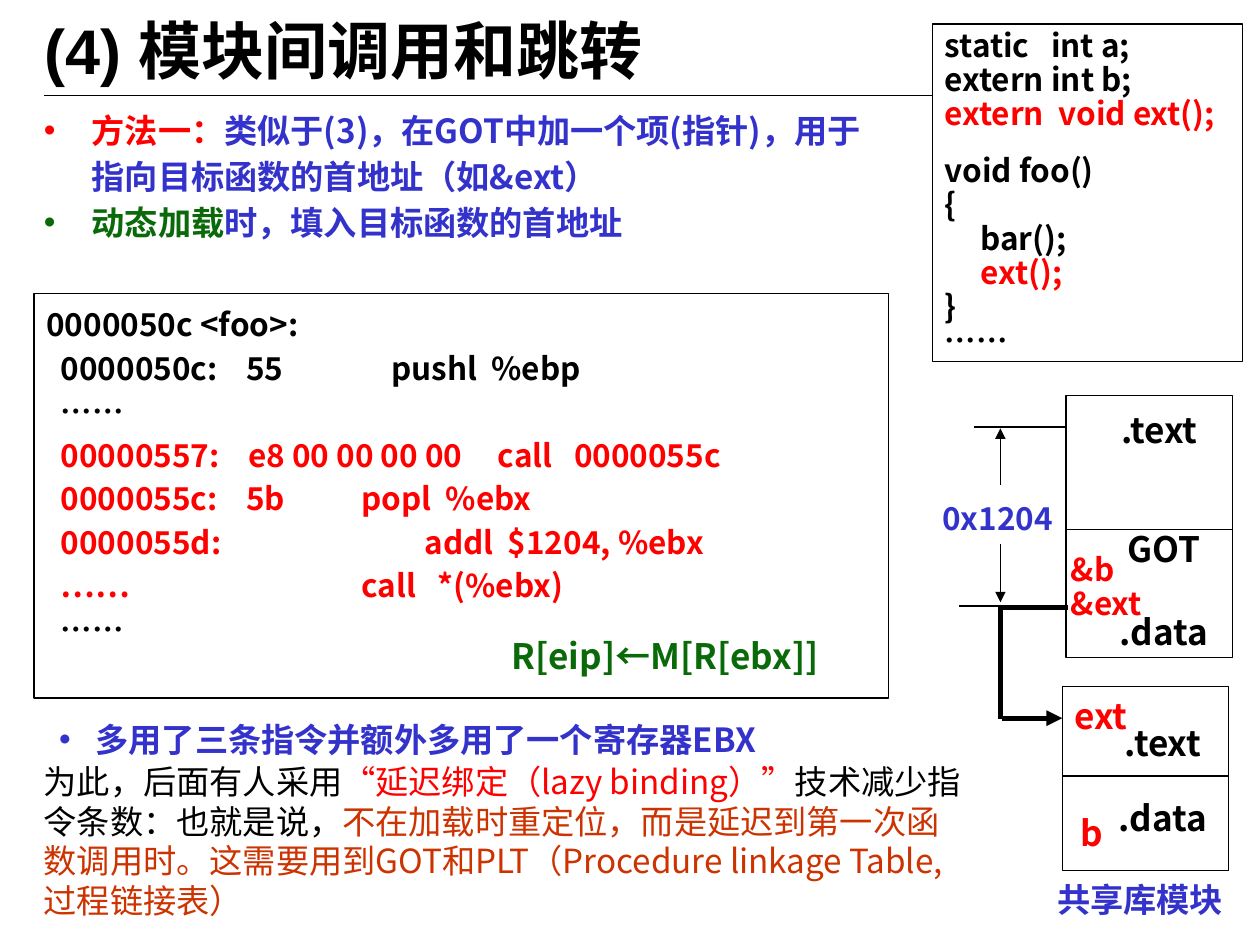
from dataclasses import dataclass

from lxml.etree import SubElement
from pptx import Presentation
from pptx.dml.color import RGBColor
from pptx.enum.shapes import MSO_CONNECTOR, MSO_SHAPE
from pptx.enum.text import MSO_ANCHOR, MSO_AUTO_SIZE, PP_ALIGN
from pptx.oxml.ns import qn
from pptx.util import Inches, Pt


@dataclass(frozen=True)
class Theme:
    black: str = "000000"
    white: str = "FFFFFF"
    red: str = "FF0000"
    blue: str = "3333CC"
    green: str = "0A6A0A"
    orange: str = "CC3300"
    body_font: str = "Noto Sans CJK SC"
    title_font: str = "Arial"
    title: int = 36
    label: int = 20
    body: int = 19
    code: int = 18
    thin: float = 0.75
    thick: float = 3


THEME = Theme()


@dataclass(frozen=True)
class Line:
    """One paragraph: its (text, colour) runs and its layout."""
    runs: tuple[tuple[str, str], ...]
    size: int = THEME.code
    spacing: float = 1.0
    before: float = 0
    bold: bool = True
    bullet: str = ""
    indent: float = 0
    font: str = THEME.body_font


@dataclass(frozen=True)
class Box:
    left: float
    top: float
    width: float
    height: float


@dataclass(frozen=True)
class Segment:
    start: tuple[float, float]
    end: tuple[float, float]
    weight: float = THEME.thin
    arrow: bool = False


def write_lines(frame, lines: list[Line], side: float = 0.1) -> None:
    frame.word_wrap = True
    frame.auto_size = MSO_AUTO_SIZE.NONE
    frame.margin_left = frame.margin_right = Inches(side)
    frame.margin_top = frame.margin_bottom = Inches(0.05)
    for index, line in enumerate(lines):
        paragraph = frame.paragraphs[0] if index == 0 else frame.add_paragraph()
        paragraph.alignment = PP_ALIGN.LEFT
        paragraph.line_spacing = line.spacing
        if line.before:
            paragraph.space_before = Pt(line.before)
        properties = paragraph._p.get_or_add_pPr()
        if line.bullet:
            properties.set("marL", str(Inches(line.indent)))
            properties.set("indent", str(-Inches(line.indent)))
            colour = SubElement(properties, qn("a:buClr"))
            SubElement(colour, qn("a:srgbClr"), val=line.bullet)
            SubElement(properties, qn("a:buFont"), typeface="Arial")
            SubElement(properties, qn("a:buChar"), char="•")
        paragraph.font.name = line.font
        paragraph.font.size = Pt(line.size)
        paragraph.font.bold = line.bold
        SubElement(properties.find(qn("a:defRPr")), qn("a:ea"), typeface=THEME.body_font)
        for text, colour in line.runs:
            run = paragraph.add_run()
            run.text = text
            run.font.color.rgb = RGBColor.from_string(colour)


def add_text(slide, box: Box, lines: list[Line], side: float = 0.1) -> None:
    area = slide.shapes.add_textbox(*map(Inches, (box.left, box.top, box.width, box.height)))
    write_lines(area.text_frame, lines, side)


def add_panel(slide, box: Box, lines: list[Line] | None = None) -> None:
    panel = slide.shapes.add_shape(
        MSO_SHAPE.RECTANGLE, *map(Inches, (box.left, box.top, box.width, box.height)))
    panel.shadow.inherit = False
    panel.fill.solid()
    panel.fill.fore_color.rgb = RGBColor.from_string(THEME.white)
    panel.line.color.rgb = RGBColor.from_string(THEME.black)
    panel.line.width = Pt(THEME.thin)
    if lines:
        panel.text_frame.vertical_anchor = MSO_ANCHOR.TOP
        write_lines(panel.text_frame, lines)


def add_segment(slide, segment: Segment) -> None:
    connector = slide.shapes.add_connector(
        MSO_CONNECTOR.STRAIGHT, *map(Inches, segment.start + segment.end))
    connector.line.color.rgb = RGBColor.from_string(THEME.black)
    connector.line.width = Pt(segment.weight)
    if segment.arrow:
        SubElement(connector.line._get_or_add_ln(), qn("a:tailEnd"), type="triangle")
    SubElement(connector._element.spPr, qn("a:effectLst"))


def code_lines(rows: list[tuple[str, str]], spacing: float) -> list[Line]:
    return [Line((row,), spacing=spacing) for row in rows]


def main() -> None:
    t = THEME
    deck = Presentation()
    deck.slide_width, deck.slide_height = Inches(10), Inches(7.5)
    slide = deck.slides.add_slide(deck.slide_layouts[5])

    title = slide.shapes.title
    title.left, title.top = Inches(0.25), Inches(0.09)
    title.width, title.height = Inches(9.25), Inches(0.61)
    title.text_frame.vertical_anchor = MSO_ANCHOR.MIDDLE
    write_lines(title.text_frame, [
        Line((("(4) 模块间调用和跳转", t.black),), t.title, font=t.title_font)])
    add_segment(slide, Segment((0.35, 0.76), (9.65, 0.76)))

    add_text(slide, Box(0.25, 0.78, 6.94, 1.26), [
        Line((("方法一：", t.red),
              ("类似于(3)，在GOT中加一个项(指针)，用于指向目标函数的首地址（如&ext）", t.blue)),
             t.body, 1.15, bullet=t.red, indent=0.38),
        Line((("动态加载", t.green), ("时，填入目标函数的首地址", t.blue)),
             t.body, 1.15, bullet=t.green, indent=0.38)])

    declarations = [("static   int a;", t.black), ("extern int b;", t.black),
                    ("extern  void ext();", t.red)]
    function_body = [("{", t.black), ("     bar();", t.black), ("     ext();", t.red),
                     ("}", t.black), ("……", t.black)]
    add_panel(slide, Box(7.4, 0.19, 2.46, 2.68), [
        *code_lines(declarations, 0.9),
        Line((("void foo()", t.black),), spacing=0.9, before=13),
        *code_lines(function_body, 0.9)])

    add_panel(slide, Box(0.27, 2.33, 6.78, 3.21), code_lines([
        ("0000050c <foo>:", t.black),
        ("  0000050c:    55\t             pushl  %ebp", t.black),
        ("  ……", t.black),
        ("  00000557:    e8 00 00 00 00     call   0000055c", t.red),
        ("  0000055c:    5b\t\tpopl  %ebx", t.red),
        ("  0000055d:   \t\t\taddl  $1204, %ebx", t.red),
        ("  ……      \t\t\tcall   *(%ebx)", t.red),
        ("  ……", t.black)], 1.15))

    add_text(slide, Box(0.25, 5.99, 7.5, 1.37), [Line((
        ("为此，后面有人采用", t.black),
        ("“延迟绑定（lazy binding）”", t.red),
        ("技术减少指令条数：也就是说，", t.black),
        ("不在加载时重定位，而是延迟到第一次函数调用时。"
         "这需要用到GOT和PLT（Procedure linkage Table, 过程链接表）", t.orange)),
        t.body, bold=False)])
    add_text(slide, Box(0.37, 5.58, 6.38, 0.5), [
        Line((("多用了三条指令并额外多用了一个寄存器EBX", t.blue),),
             t.body, 1.25, bullet=t.blue, indent=0.29)])

    for segment in (
            Segment((7.73, 3.39), (8.54, 3.39)),
            Segment((7.61, 4.81), (8.39, 4.81)),
            Segment((7.94, 3.85), (7.94, 3.4), arrow=True),
            Segment((7.94, 4.32), (7.94, 4.78), arrow=True)):
        add_segment(slide, segment)

    for section in (Box(8.46, 3.14, 1.32, 1.07), Box(8.46, 4.2, 1.32, 1.02),
                    Box(8.43, 5.45, 1.32, 0.72), Box(8.43, 6.16, 1.32, 0.75)):
        add_panel(slide, section)

    for segment in (
            Segment((8.48, 4.82), (7.92, 4.82), t.thick),
            Segment((7.94, 4.81), (7.94, 5.71), t.thick),
            Segment((7.95, 5.7), (8.43, 5.7), t.thick, arrow=True)):
        add_segment(slide, segment)

    for text, left, top, width, colour in (
            ("R[eip]←M[R[ebx]]", 3.96, 4.99, 2.73, t.green),
            (".text", 8.8, 3.19, 0.91, t.black),
            ("GOT", 8.85, 4.14, 0.91, t.black),
            (".data", 8.79, 4.8, 0.91, t.black),
            (".text", 8.83, 5.68, 0.91, t.black),
            ("b", 8.48, 6.39, 0.8, t.red),
            (".data", 8.78, 6.27, 0.91, t.black),
            ("ext", 8.43, 5.46, 0.8, t.red)):
        add_text(slide, Box(left, top, width, 0.44), [Line(((text, colour),), t.label)])

    add_text(slide, Box(7.38, 3.91, 1.21, 0.4), [Line((("0x1204", t.blue),))])
    add_text(slide, Box(8.4, 4.35, 0.94, 0.64),
             code_lines([("&b", t.red), ("&ext", t.red)], 0.9))
    add_text(slide, Box(8.39, 6.93, 1.33, 0.42), [
        Line((("共享库模块", t.blue),), t.body, font=t.title_font)], side=0)

    deck.save("out.pptx")


if __name__ == "__main__":
    main()
